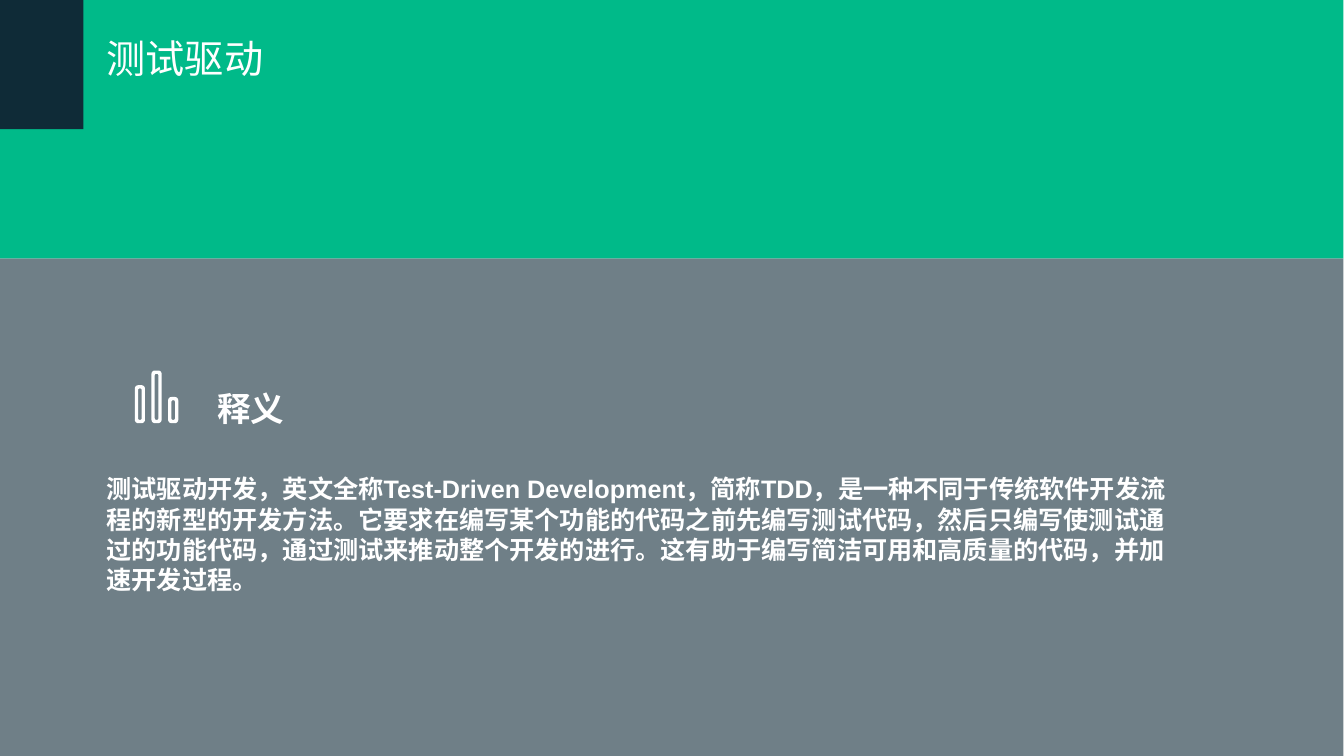
from math import cos, radians, sin

from lxml import etree
from pptx import Presentation
from pptx.dml.color import RGBColor
from pptx.enum.shapes import MSO_SHAPE as Preset
from pptx.enum.text import MSO_ANCHOR as Anchor, MSO_AUTO_SIZE as AutoSize, PP_ALIGN as Align
from pptx.oxml.ns import qn
from pptx.util import Pt

NAVY = RGBColor(0x0F, 0x2B, 0x37)
GREEN = RGBColor(0x00, 0xBA, 0x89)
WHITE = RGBColor(0xFF, 0xFF, 0xFF)

WIDTH, HEIGHT = 960.5, 540
BAND_HEIGHT = 184.5
TEXT_LEFT = 69.1

DEFINITION = (
    "测试驱动开发，英文全称Test-Driven Development，简称TDD，"
    "是一种不同于传统软件开发流程的新型的开发方法。"
    "它要求在编写某个功能的代码之前先编写测试代码，"
    "然后只编写使测试通过的功能代码，通过测试来推动整个开发的进行。"
    "这有助于编写简洁可用和高质量的代码，并加速开发过程。"
)


def rounded_outline(left, top, right, bottom, radius):
    """Return the points of a rounded rectangle, clockwise, in EMU."""
    corners = [
        (right - radius, top + radius, 270),
        (right - radius, bottom - radius, 0),
        (left + radius, bottom - radius, 90),
        (left + radius, top + radius, 180),
    ]
    return [
        (Pt(x + radius * cos(radians(start + turn))),
         Pt(y + radius * sin(radians(start + turn))))
        for x, y, start in corners
        for turn in range(0, 91, 15)
    ]


class SlideBuilder:
    def __init__(self, slide, font="Arial", color=WHITE):
        self.slide = slide
        self.font = font
        self.color = color

    def paint(self, shape, color):
        shape.shadow.inherit = False
        shape.fill.solid()
        shape.fill.fore_color.rgb = color
        shape.line.fill.background()

    def block(self, left, top, width, height, color, opacity=100):
        block = self.slide.shapes.add_shape(
            Preset.RECTANGLE, Pt(left), Pt(top), Pt(width), Pt(height))
        self.paint(block, color)
        if opacity < 100:
            fill_color = block.element.spPr.find(qn("a:solidFill"))[0]
            etree.SubElement(fill_color, qn("a:alpha")).set("val", str(opacity * 1000))

    def fill_text(self, box, text, size, bold):
        frame = box.text_frame
        frame.word_wrap = True
        frame.auto_size = AutoSize.SHAPE_TO_FIT_TEXT
        frame.vertical_anchor = Anchor.TOP
        paragraph = frame.paragraphs[0]
        paragraph.alignment = Align.LEFT
        run = paragraph.add_run()
        run.text = text
        run.font.name = self.font
        run.font.size = Pt(size)
        run.font.bold = bold
        run.font.color.rgb = self.color

    def title(self, text, left, top, width, height, size):
        title = self.slide.shapes.title
        title.left, title.top = Pt(left), Pt(top)
        title.width, title.height = Pt(width), Pt(height)
        self.fill_text(title, text, size, bold=False)
        # Bring the title in front of the coloured bands.
        self.slide.shapes.element.append(title.element)

    def text(self, text, left, top, width, height, size):
        box = self.slide.shapes.add_textbox(Pt(left), Pt(top), Pt(width), Pt(height))
        self.fill_text(box, text, size, bold=True)

    def bars_icon(self, left, tops, bottom, step, width, wall):
        """Draw hollow rounded bars as one outline."""
        outlines = []
        for index, top in enumerate(tops):
            bar_left = left + index * step
            for inset, radius in ((0, 2.4), (wall, 1.2)):
                outlines.append(rounded_outline(
                    bar_left + inset, top + inset,
                    bar_left + width - inset, bottom - inset, radius))
        builder = self.slide.shapes.build_freeform(*outlines[0][0])
        for index, points in enumerate(outlines):
            if index:
                builder.move_to(*points[0])
            builder.add_line_segments(points[1:], close=True)
        self.paint(builder.convert_to_shape(), self.color)


def main():
    deck = Presentation()
    deck.slide_width, deck.slide_height = Pt(WIDTH), Pt(HEIGHT)
    builder = SlideBuilder(deck.slides.add_slide(deck.slide_layouts[5]))

    builder.block(0, BAND_HEIGHT, 960, HEIGHT - BAND_HEIGHT, NAVY, opacity=60)
    builder.block(0, 0, 960, BAND_HEIGHT, GREEN)
    builder.title("测试驱动", TEXT_LEFT, 21, 257, 41, size=28)
    builder.text("释义", 148.2, 273.5, 175.7, 36, size=24)
    builder.text(DEFINITION, TEXT_LEFT, 334.8, 786.2, 93.6, size=18)
    builder.bars_icon(96.4, (275.2, 264.7, 283.6), bottom=302.3,
                      step=11.9, width=7.2, wall=2.3)
    builder.block(0, 0, 59.6, 92.3, NAVY)

    deck.save("out.pptx")


if __name__ == "__main__":
    main()
